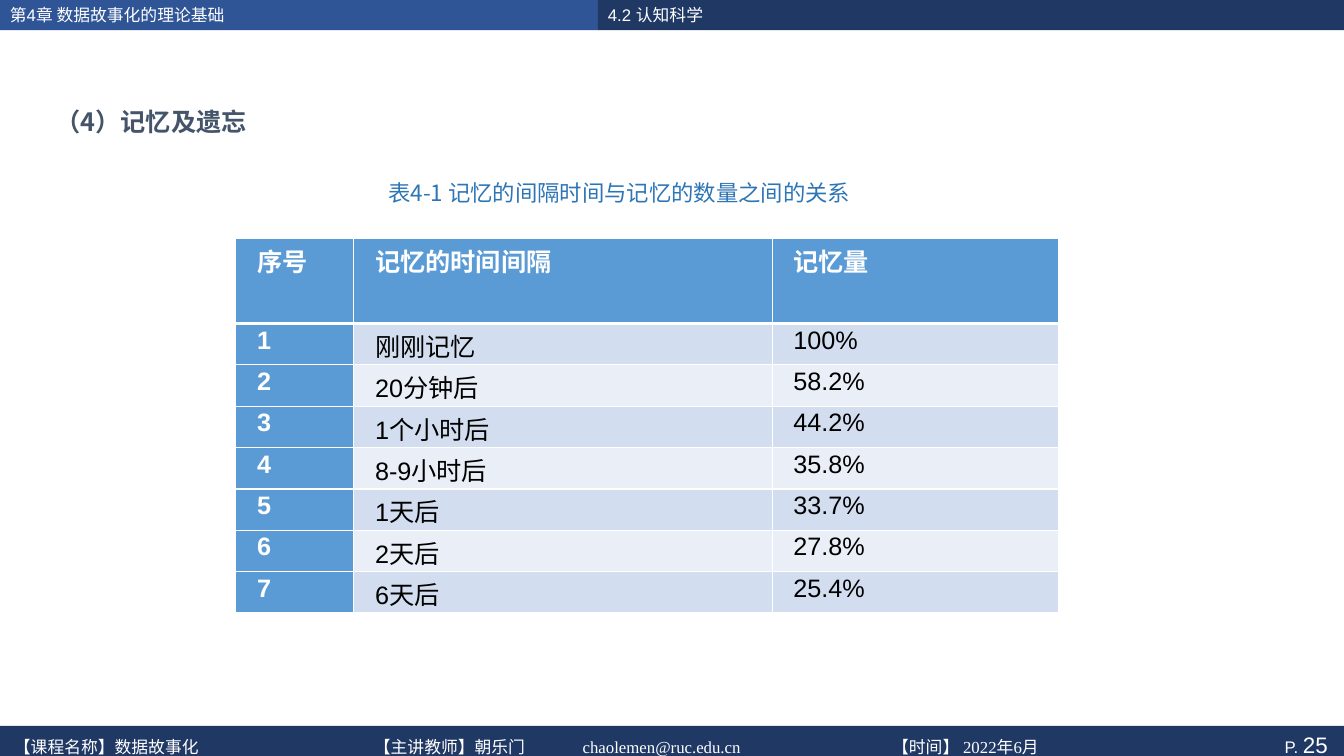
from lxml import etree
from pptx import Presentation, util as u
from pptx.dml.color import RGBColor
from pptx.enum import shapes, text
from pptx.oxml import ns

WHITE = RGBColor(0xFF, 0xFF, 0xFF)
BLACK = RGBColor(0x00, 0x00, 0x00)
NAVY = RGBColor(0x20, 0x38, 0x64)
ROYAL = RGBColor(0x2F, 0x55, 0x97)
SLATE = RGBColor(0x44, 0x54, 0x6A)
CAPTION_BLUE = RGBColor(0x2E, 0x75, 0xB6)
HEADER_BLUE = RGBColor(0x5B, 0x9B, 0xD5)
BANDS = (RGBColor(0xD2, 0xDE, 0xEF), RGBColor(0xEA, 0xEF, 0xF7))

CJK = "Noto Sans CJK SC"
LEFT, CENTER, RIGHT = text.PP_ALIGN.LEFT, text.PP_ALIGN.CENTER, text.PP_ALIGN.RIGHT
TOP, MIDDLE = text.MSO_ANCHOR.TOP, text.MSO_ANCHOR.MIDDLE

MEMORY_ROWS = [
    ("序号", "记忆的时间间隔", "记忆量"),
    ("1", "刚刚记忆", "100%"),
    ("2", "20分钟后", "58.2%"),
    ("3", "1个小时后", "44.2%"),
    ("4", "8-9小时后", "35.8%"),
    ("5", "1天后", "33.7%"),
    ("6", "2天后", "27.8%"),
    ("7", "6天后", "25.4%"),
]
COURSE_FACTS = ["【课程名称】数据故事化", "【主讲教师】朝乐门",
                "chaolemen@ruc.edu.cn", "【时间】 2022年6月"]


def assign(target, values):
    for name, value in values.items():
        setattr(target, name, value)


def child(parent, tag, **attributes):
    return etree.SubElement(parent, ns.qn(tag), attributes)


class Deck:
    """Style and current slide; every area is in percent of the slide's size."""

    def __init__(self):
        self.deck = Presentation()
        assign(self.deck, {"slide_width": u.Inches(13.33), "slide_height": u.Inches(7.5)})
        self.slide = self.deck.slides.add_slide(self.deck.slide_layouts[5])

    def x(self, percent):
        return round(self.deck.slide_width * percent / 100)

    def y(self, percent):
        return round(self.deck.slide_height * percent / 100)

    def area(self, left, top, width, height):
        return self.x(left), self.y(top), self.x(width), self.y(height)

    def typeset(self, frame, runs, anchor=TOP, tabs=(), margins=None, indent=0, **layout):
        """Fill a frame with one paragraph of (words, size, colour, bold, font) runs."""
        assign(frame, {"word_wrap": True, "vertical_anchor": anchor, **(margins or {})})
        paragraph = frame.paragraphs[0]
        properties = paragraph._p.get_or_add_pPr()
        if indent:
            properties.set("marL", "0")
            properties.set("indent", str(u.Inches(indent)))
        if tabs:
            stops = child(properties, "a:tabLst")
            for stop in tabs:
                child(stops, "a:tab", pos=str(u.Inches(stop)), algn="l")
        assign(paragraph, layout)
        for words, size, colour, bold, font in runs:
            run = paragraph.add_run()
            run.text = words
            assign(run.font, {"size": u.Pt(size), "bold": bold, "name": font})
            run.font.color.rgb = colour
            child(run._r.get_or_add_rPr(), "a:ea", typeface=CJK)

    def bar(self, area, colour, runs, **layout):
        bar = self.slide.shapes.add_shape(shapes.MSO_SHAPE.RECTANGLE, *self.area(*area))
        bar.shadow.inherit = False
        bar.fill.solid()
        bar.fill.fore_color.rgb = colour
        bar.line.fill.background()
        self.typeset(bar.text_frame, runs, MIDDLE, **layout)

    def title(self, area, runs, **layout):
        title = self.slide.shapes.title
        assign(title, dict(zip(("left", "top", "width", "height"), self.area(*area))))
        title.text_frame.auto_size = text.MSO_AUTO_SIZE.NONE
        self.typeset(title.text_frame, runs, **layout)

    def label(self, area, runs, **layout):
        label = self.slide.shapes.add_textbox(*self.area(*area))
        self.typeset(label.text_frame, runs, **layout)

    def cell(self, cell, words, fill, colour, bold, bottom):
        for side, width in {"L": 1, "R": 1, "T": 1, "B": bottom}.items():
            line = child(cell._tc.get_or_add_tcPr(), f"a:ln{side}", w=str(u.Pt(width)))
            child(child(line, "a:solidFill"), "a:srgbClr", val=str(WHITE))
        cell.fill.solid()
        cell.fill.fore_color.rgb = fill
        assign(cell, {"margin_left": u.Inches(0.07), "margin_right": u.Inches(0.07),
                      "margin_top": 0, "margin_bottom": 0})
        self.typeset(cell.text_frame, [(words, 18, colour, bold, "Arial")],
                     indent=0.14, line_spacing=1.1)

    def table(self, left, top, widths, heights, rows):
        area = self.area(left, top, sum(widths), sum(heights))
        table = self.slide.shapes.add_table(len(rows), len(widths), *area).table
        assign(table, {"first_row": False, "horz_banding": False})
        for column, width in zip(table.columns, widths):
            column.width = self.x(width)
        for r, (row, height, values) in enumerate(zip(table.rows, heights, rows)):
            row.height = self.y(height)
            for c, words in enumerate(values):
                heading = r == 0 or c == 0
                fill = HEADER_BLUE if heading else BANDS[(r - 1) % 2]
                self.cell(table.cell(r, c), words, fill, WHITE if heading else BLACK,
                          heading, 3 if r == 0 else 1)


def main():
    page = Deck()
    split = 44.49
    page.bar((0, 0, split, 4), ROYAL,
             [("第4章 数据故事化的理论基础", 12, WHITE, False, "Arial")], alignment=LEFT)
    page.bar((0, 96, 100, 4.93), NAVY,
             [("P. ", 12, WHITE, False, "Arial"), ("25", 16, WHITE, False, "Arial")],
             margins={"margin_right": u.Inches(0.16)}, alignment=RIGHT)
    page.label((0.3, 96.67, 88, 4.13),
               [("\t".join(COURSE_FACTS), 12, WHITE, False, "Times New Roman")],
               anchor=MIDDLE, tabs=(3.57, 5.64, 8.71))
    page.bar((split, 0, 100 - split, 4), NAVY,
             [("4.2 认知科学", 12, WHITE, False, "Arial")], alignment=LEFT)
    page.title((3.38, 10.13, 50.26, 6.67), [("（4）记忆及遗忘", 18, SLATE, True, CJK)],
               margins={"margin_top": u.Inches(0.14)}, alignment=LEFT, line_spacing=1.5)
    page.label((19.88, 22.67, 50.26, 5.07),
               [("表4-1 记忆的间隔时间与记忆的数量之间的关系", 16, CAPTION_BLUE, False, CJK)],
               indent=0.29, alignment=CENTER, line_spacing=1.1)
    page.table(17.55, 31.6, (8.78, 31.13, 21.3), [11.2] + [5.47] * 7, MEMORY_ROWS)
    page.deck.save("out.pptx")


if __name__ == "__main__":
    main()
